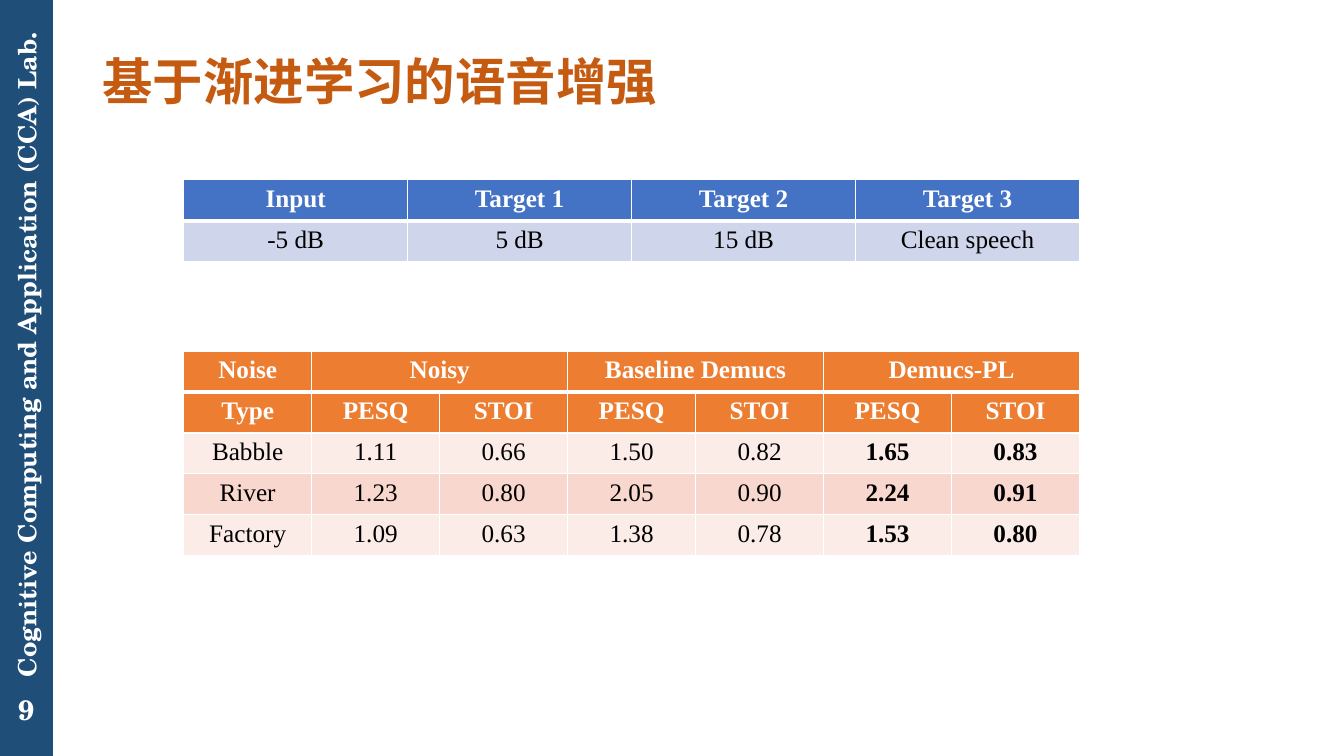
from lxml.etree import SubElement
from pptx import Presentation
from pptx.dml.color import RGBColor
from pptx.enum.shapes import MSO_SHAPE
from pptx.enum.text import MSO_ANCHOR, PP_ALIGN
from pptx.oxml.ns import qn
from pptx.util import Cm, Pt

WHITE = RGBColor(0xFF, 0xFF, 0xFF)
BLACK = RGBColor(0x00, 0x00, 0x00)
NAVY = RGBColor(0x1F, 0x4E, 0x79)
RUST = RGBColor(0xC5, 0x5A, 0x11)
BLUE = RGBColor(0x44, 0x72, 0xC4)
PALE_BLUE = RGBColor(0xCF, 0xD5, 0xEA)
ORANGE = RGBColor(0xED, 0x7D, 0x31)
PALE_PINK = RGBColor(0xFC, 0xEC, 0xE8)
PINK = RGBColor(0xF8, 0xD7, 0xCE)

SIDEBAR_FONT = "TeX Gyre Schola"
TABLE_FONT = "Times New Roman"
TITLE_FONT = "Noto Sans CJK SC"


def write(tf, text, font, size, color, bold=True, align=PP_ALIGN.CENTER):
    p = tf.paragraphs[0]
    p.alignment = align
    r = p.add_run()
    r.text = text
    r.font.name = font
    r.font.size = Pt(size)
    r.font.bold = bold
    r.font.color.rgb = color
    SubElement(r.font._element, qn("a:ea"), typeface=font)
    return p


def set_borders(cell, top, bottom):
    """Draw white cell borders; top and bottom are widths in points."""
    tc_pr = cell._tc.get_or_add_tcPr()
    for side, width in (("L", 1), ("R", 1), ("T", top), ("B", bottom)):
        ln = SubElement(tc_pr, qn(f"a:ln{side}"), w=str(Pt(width)))
        fill = SubElement(ln, qn("a:solidFill"))
        SubElement(fill, qn("a:srgbClr"), val=str(WHITE))


prs = Presentation()
prs.slide_width, prs.slide_height = Cm(33.87), Cm(19.05)
slide = prs.slides.add_slide(prs.slide_layouts[5])
shapes = slide.shapes

# Sidebar
for top, height in ((17.2, 1.85), (0, 17.2)):
    sp = shapes.add_shape(MSO_SHAPE.RECTANGLE, 0, Cm(top), Cm(1.32), Cm(height))
    sp.shadow.inherit = False
    sp.fill.solid()
    sp.fill.fore_color.rgb = NAVY
    sp.line.color.rgb = NAVY
    sp.line.width = Pt(1)

lab = shapes.add_textbox(Cm(-7.83), Cm(8.43), Cm(17), Cm(1.02))
lab.rotation = 270
lab.text_frame.word_wrap = True
write(lab.text_frame, "Cognitive Computing and Application (CCA) Lab.",
      SIDEBAR_FONT, 18, WHITE)

number = shapes.add_textbox(0, Cm(17.22), Cm(1.32), Cm(1.32))
number.text_frame.word_wrap = True
number.text_frame.vertical_anchor = MSO_ANCHOR.MIDDLE
write(number.text_frame, "9", SIDEBAR_FONT, 20, WHITE)

# Title
title = shapes.title
title.left, title.top, title.width, title.height = Cm(2.33), Cm(0.8), Cm(29.21), Cm(2.62)
title.text_frame.vertical_anchor = MSO_ANCHOR.MIDDLE
p = write(title.text_frame, "基于渐进学习的语音增强", TITLE_FONT, 36, RUST,
          align=PP_ALIGN.LEFT)
p.line_spacing = 0.9

# Tables: top, header row count, merged pairs, row fills, rows
target_rows = [
    ["Input", "Target 1", "Target 2", "Target 3"],
    ["-5 dB", "5 dB", "15 dB", "Clean speech"],
]
score_rows = [
    ["Noise", "Noisy", "", "Baseline Demucs", "", "Demucs-PL", ""],
    ["Type"] + ["PESQ", "STOI"] * 3,
    ["Babble", "1.11", "0.66", "1.50", "0.82", "1.65", "0.83"],
    ["River", "1.23", "0.80", "2.05", "0.90", "2.24", "0.91"],
    ["Factory", "1.09", "0.63", "1.38", "0.78", "1.53", "0.80"],
]
tables = [
    (4.53, 1, (), (BLUE, PALE_BLUE), target_rows),
    (8.85, 2, (1, 3, 5), (ORANGE, ORANGE, PALE_PINK, PINK, PALE_PINK), score_rows),
]
TABLE_WIDTH, ROW_HEIGHT = 22.58, 1.03

for top, header_rows, merged, fills, rows in tables:
    n_cols = len(rows[0])
    table = shapes.add_table(len(rows), n_cols, Cm(4.63), Cm(top), Cm(TABLE_WIDTH),
                             Cm(ROW_HEIGHT * len(rows))).table
    table.first_row = table.horz_banding = False
    for col in table.columns:
        col.width = Cm(TABLE_WIDTH / n_cols)
    for c in merged:
        table.cell(0, c).merge(table.cell(0, c + 1))
    for r, values in enumerate(rows):
        table.rows[r].height = Cm(ROW_HEIGHT)
        header = r < header_rows
        for c, value in enumerate(values):
            cell = table.cell(r, c)
            set_borders(cell, top=3 if r == 1 else 1, bottom=3 if r == 0 else 1)
            cell.fill.solid()
            cell.fill.fore_color.rgb = fills[r]
            if not cell.is_spanned:
                write(cell.text_frame, value, TABLE_FONT, 18,
                      WHITE if header else BLACK, bold=header or c >= 5)

prs.save("out.pptx")
